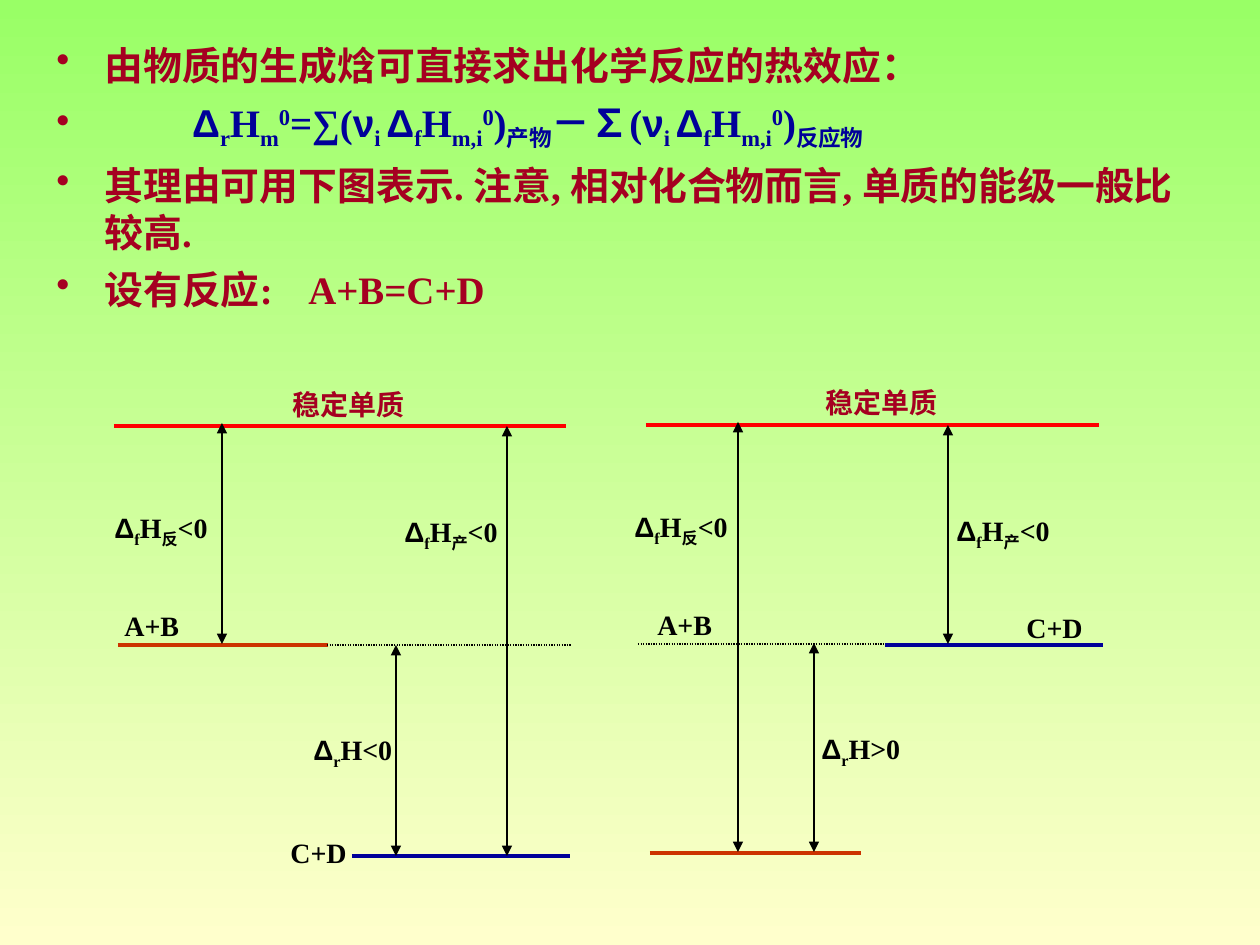
"""Build a slide on enthalpies of formation with two energy level diagrams."""
from lxml import etree
from pptx import Presentation
from pptx.dml.color import RGBColor
from pptx.enum.dml import MSO_LINE
from pptx.enum.shapes import MSO_CONNECTOR
from pptx.enum.text import MSO_AUTO_SIZE
from pptx.oxml.ns import qn
from pptx.util import Emu, Pt

PX = 914400 / 126
STRAIGHT = MSO_CONNECTOR.STRAIGHT
DOTTED = MSO_LINE.ROUND_DOT
GROW = MSO_AUTO_SIZE.SHAPE_TO_FIT_TEXT
BASELINES = {"_": "-25000", "^": "30000"}
DARK_RED, RED, RUST, NAVY, BLACK = "A50021", "FF0000", "CC3300", "000099", "000000"


def color(hex_code):
    """Turn a hex string into a colour."""
    return RGBColor.from_string(hex_code)


def add_text(p, text, size=16, fill=BLACK):
    """Add runs split at |, where a leading _ or ^ lowers or raises a run."""
    for part in text.split("|"):
        r = p.add_run()
        r.text = part.lstrip("_^")
        r.font.size = Pt(size)
        r.font.bold = True
        r.font.name = "Arial" if part in "Δν" else "Times New Roman"
        r.font.color.rgb = color(fill)
        if part[0] in BASELINES:
            r.font._element.set("baseline", BASELINES[part[0]])


prs = Presentation()
prs.slide_width, prs.slide_height = Emu(int(1260 * PX)), Emu(int(945 * PX))
s = prs.slides.add_slide(prs.slide_layouts[6])
bg = s.background.fill
bg.gradient()
bg.gradient_angle = 270
for stop, position, fill in zip(bg.gradient_stops, (0, 1), ("99FF66", "FFFFCC")):
    stop.position = position
    stop.color.rgb = color(fill)

term = "(|ν|_i |Δ|_f|H|_m,i|^0|)|_"
bullets = [
    ("由物质的生成焓可直接求出化学反应的热效应：", DARK_RED),
    (f" \t |Δ|_r|H|_m|^0|=∑{term}产物|－∑{term}反应物", NAVY),
    ("其理由可用下图表示. 注意, 相对化合物而言, 单质的能级一般比较高.", DARK_RED),
    ("设有反应:\tA+B=C+D", DARK_RED),
]
tf = s.shapes.add_textbox(*[Emu(int(v * PX)) for v in (44, 35, 1171, 290)]).text_frame
tf.word_wrap = True
for i, (text, fill) in enumerate(bullets):
    p = tf.paragraphs[0] if i == 0 else tf.add_paragraph()
    p.space_before = Pt(6 if i else 0)
    pPr = p._p.get_or_add_pPr()
    pPr.set("marL", str(int(48 * PX)))
    pPr.set("indent", str(int(-48 * PX)))
    bu_clr = etree.SubElement(pPr, qn("a:buClr"))
    etree.SubElement(bu_clr, qn("a:srgbClr"), val=DARK_RED)
    etree.SubElement(pPr, qn("a:buChar"), char="•")
    tabs = etree.SubElement(pPr, qn("a:tabLst"))
    for inch in range(1, 9):
        etree.SubElement(tabs, qn("a:tab"), pos=str(inch * 914400), algn="l")
    add_text(p, text, size=22.2, fill=fill)

diagrams = [
    {
        "levels": [(114, 566, 426, RED), (118, 328, 645, RUST), (352, 570, 856, NAVY)],
        "dotted": (327, 572, 645),
        "arrows": [(222, 423, 644), (507, 426, 856), (396, 645, 856)],
        "labels": [
            (280, 381, 161, 47, "稳定单质", DARK_RED),
            (112, 602, 92, 47, "A+B", BLACK),
            (278, 829, 92, 47, "C+D", BLACK),
            (102, 504, 126, 84, "Δ|_f|H|_反|<0", BLACK),
            (392, 508, 126, 84, "Δ|_f|H|_产|<0", BLACK),
            (301, 726, 126, 52, "Δ|_r|H<0", BLACK),
        ],
    },
    {
        "levels": [(646, 1099, 425, RED), (650, 861, 853, RUST), (885, 1103, 645, NAVY)],
        "dotted": (638, 885, 644),
        "arrows": [(948, 425, 644), (738, 422, 852), (814, 643, 852)],
        "labels": [
            (813, 379, 161, 47, "稳定单质", DARK_RED),
            (645, 601, 92, 47, "A+B", BLACK),
            (1014, 604, 92, 47, "C+D", BLACK),
            (622, 503, 126, 84, "Δ|_f|H|_反|<0", BLACK),
            (944, 507, 126, 84, "Δ|_f|H|_产|<0", BLACK),
            (809, 725, 126, 52, "Δ|_r|H>0", BLACK),
        ],
    },
]
for diagram in diagrams:
    shapes = s.shapes.add_group_shape().shapes
    x1, x2, y = diagram["dotted"]
    lines = [(a, b, c, b, fill, 2.25, "level") for a, c, b, fill in diagram["levels"]]
    lines.append((x1, y, x2, y, BLACK, 0.75, "dotted"))
    lines += [(x, top, x, bottom, BLACK, 0.75, "arrow") for x, top, bottom in diagram["arrows"]]
    for *ends, fill, width, kind in lines:
        line = shapes.add_connector(STRAIGHT, *[Emu(int(v * PX)) for v in ends])
        line.line.color.rgb = color(fill)
        line.line.width = Pt(width)
        if kind == "dotted":
            line.line.dash_style = DOTTED
        if kind == "arrow":
            for end in ("a:headEnd", "a:tailEnd"):
                etree.SubElement(line.line._get_or_add_ln(), qn(end), type="triangle")
        etree.SubElement(line._element.spPr, qn("a:effectLst"))
    for *box, text, fill in diagram["labels"]:
        tf = shapes.add_textbox(*[Emu(int(v * PX)) for v in box]).text_frame
        tf.word_wrap = True
        tf.auto_size = GROW
        add_text(tf.paragraphs[0], text, fill=fill)

prs.save("out.pptx")
